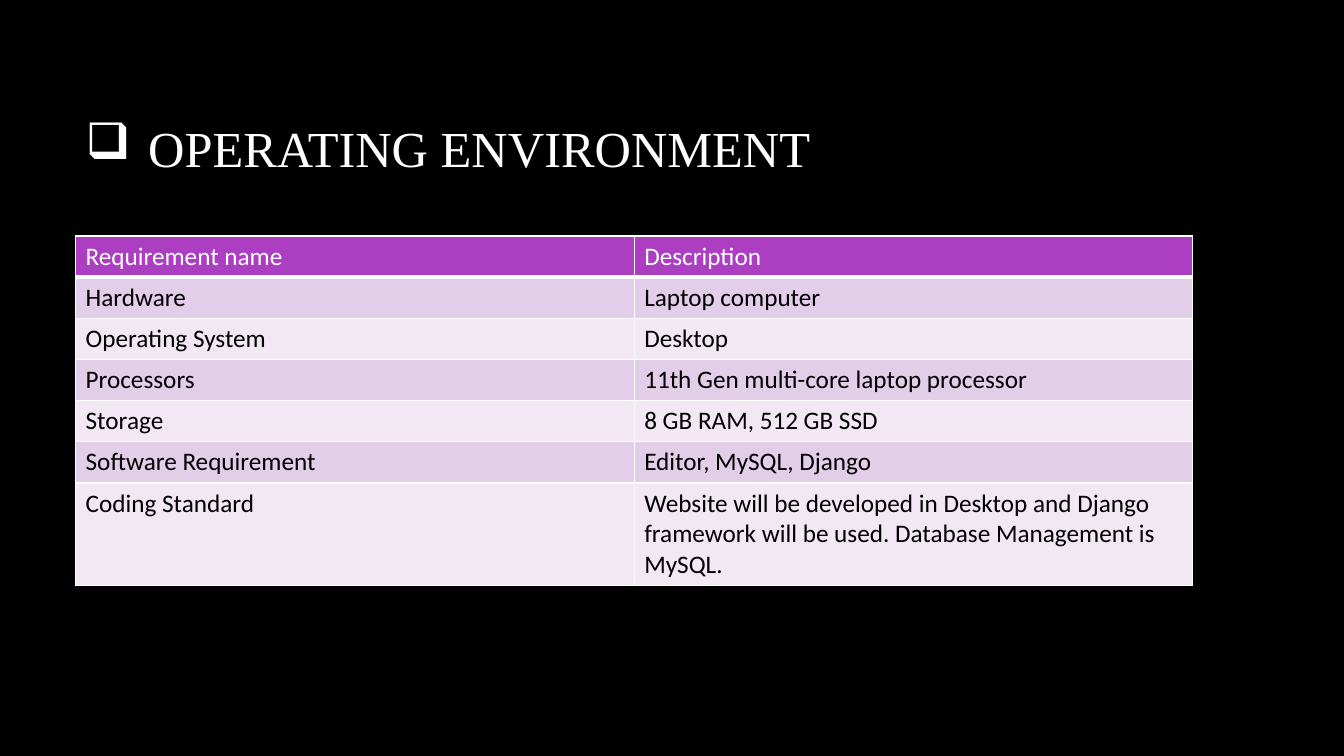
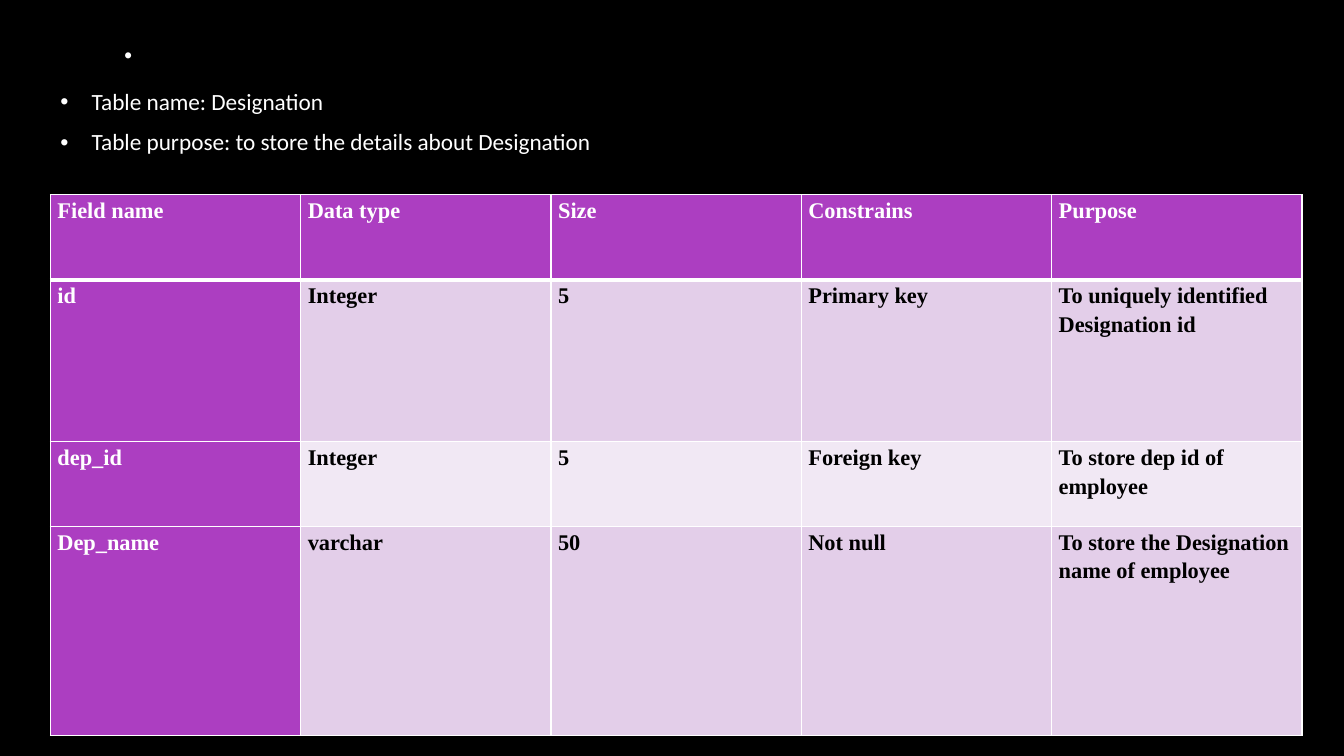
from dataclasses import dataclass

from lxml import etree
from pptx import Presentation
from pptx.dml.color import RGBColor
from pptx.enum.text import MSO_ANCHOR, MSO_AUTO_SIZE, PP_ALIGN
from pptx.oxml import parse_xml
from pptx.oxml.ns import nsdecls, qn
from pptx.util import Inches, Pt

LEFT = PP_ALIGN.LEFT
TOP, MID = MSO_ANCHOR.TOP, MSO_ANCHOR.MIDDLE
FIXED = MSO_AUTO_SIZE.NONE


@dataclass(frozen=True)
class Theme:
    back: str = "000000"
    light: str = "FFFFFF"
    dark: str = "000000"
    head: str = "AC3EC1"
    bands: tuple = ("E3CEE9", "F1E8F4")
    sans: str = "Calibri"
    serif: str = "Times New Roman"
    title: float = 36
    list: float = 16.6
    plain: float = 18
    field: float = 16
    thin: float = 1
    thick: float = 3


look = Theme()
deck = Presentation()
deck.slide_width, deck.slide_height = Inches(13.33), Inches(7.5)
col, row = deck.slide_width / 160, deck.slide_height / 90

paint = deck.slide_master.background.fill
paint.solid()
paint.fore_color.rgb = RGBColor.from_string(look.back)


def write(shape, text, box=None, size=18, font=look.sans, color=look.light,
          bold=False, anchor=TOP, mark=None, dent=0, line=1, after=0):
    frame = shape.text_frame
    if box:
        x, y, w, h = box
        shape.left, shape.top = int(x * col), int(y * row)
        shape.width, shape.height = int(w * col), int(h * row)
        frame.auto_size = FIXED
        frame.word_wrap = True
        frame.vertical_anchor = anchor
    frame.text = text
    for para in frame.paragraphs:
        para.alignment = LEFT
        para.line_spacing = line
        para.space_before, para.space_after = Pt(0), Pt(after)
        props = para._p.get_or_add_pPr()
        props.set("marL", str(Inches(dent)))
        props.set("indent", str(-Inches(dent)))
        if mark:
            etree.SubElement(props, qn("a:buChar")).set("char", mark)
        else:
            etree.SubElement(props, qn("a:buNone"))
        for run in para.runs:
            run.font.size = Pt(size)
            run.font.name = font
            run.font.bold = bold
            run.font.color.rgb = RGBColor.from_string(color)


def tabulate(slide, data, box, tall, side=False, inset=None, **style):
    x, y, w = box
    wide = len(data[0])
    table = slide.shapes.add_table(
        len(data), wide, int(x * col), int(y * row),
        int(w * col), int(sum(tall) * row)).table
    table.first_col = side
    for part in table.columns:
        part.width = int(w * col / wide)
    for i, (texts, high) in enumerate(zip(data, tall)):
        table.rows[i].height = int(high * row)
        for j, text in enumerate(texts):
            cell = table.cell(i, j)
            strong = i == 0 or side and j == 0
            if inset is not None:
                cell.margin_left = cell.margin_right = Inches(inset)
                cell.margin_top = cell.margin_bottom = 0
            write(cell, text, color=look.light if strong else look.dark, **style)
            props = cell._tc.get_or_add_tcPr()
            for edge in "LRTB":
                thick = (i, edge) in ((0, "B"), (1, "T"))
                width = Pt(look.thick if thick else look.thin)
                props.append(parse_xml(
                    f'<a:ln{edge} {nsdecls("a")} w="{width}"><a:solidFill>'
                    f'<a:srgbClr val="{look.light}"/></a:solidFill></a:ln{edge}>'))
            cell.fill.solid()
            cell.fill.fore_color.rgb = RGBColor.from_string(
                look.head if strong else look.bands[(i - 1) % 2])


slide = deck.slides.add_slide(deck.slide_layouts[5])
write(slide.shapes.title, "OPERATING ENVIRONMENT", box=(9, 8, 133, 19),
      size=look.title, font=look.serif, anchor=MID, mark="❑", dent=0.62)
needs = [
    ("Requirement name", "Description"),
    ("Hardware", "Laptop computer"),
    ("Operating System", "Desktop"),
    ("Processors", "11th Gen multi-core laptop processor"),
    ("Storage", "8 GB RAM, 512 GB SSD"),
    ("Software Requirement", "Editor, MySQL, Django"),
    ("Coding Standard",
     "Website will be developed in Desktop and Django framework will be used. "
     "Database Management is MySQL."),
]
tabulate(slide, needs, (9, 28.1, 133), [4.9] * 6 + [11.7], size=look.plain)

slide = deck.slides.add_slide(deck.slide_layouts[1])
write(slide.shapes.title, ".", box=(13.3, 0, 129.6, 9.2),
      size=look.title, anchor=MID)
write(slide.placeholders[1],
      "Table name: Designation\n"
      "Table purpose: to store the details about Designation",
      box=(6, 10, 149, 13), size=look.list, mark="•", dent=0.31,
      line=0.95, after=10)
fields = [
    ("Field name", "Data type", "Size", "Constrains", "Purpose"),
    ("id", "Integer", "5", "Primary key", "To uniquely identified Designation id"),
    ("dep_id", "Integer", "5", "Foreign key", "To store dep id of employee"),
    ("Dep_name", "varchar", "50", "Not null",
     "To store the Designation name of employee"),
]
tabulate(slide, fields, (6, 23.2, 149), [10.1, 19.3, 10.1, 24.9], side=True,
         inset=0.07, size=look.field, font=look.serif, bold=True,
         line=1.15, after=10)

deck.save("out.pptx")
